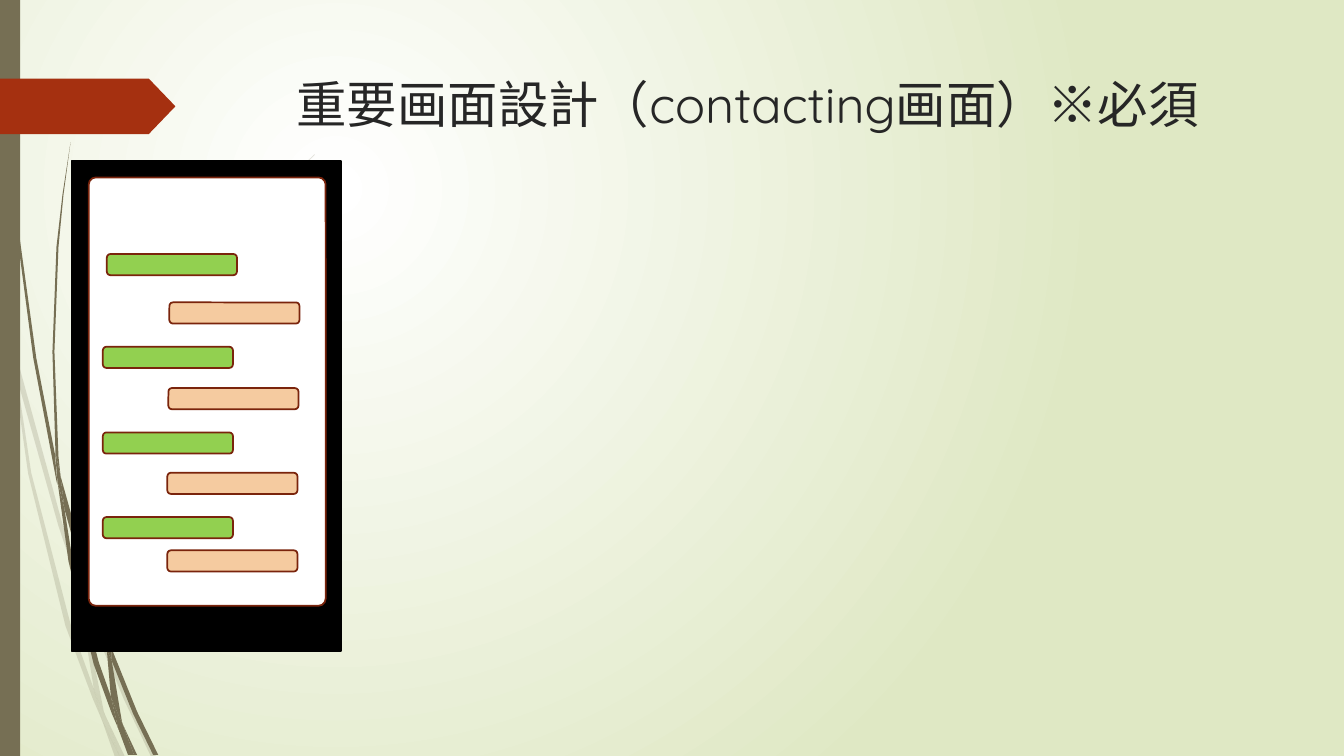
"""Build the slide that sketches the contacting screen on a phone."""
from dataclasses import dataclass
from typing import Optional

from lxml.etree import SubElement
from pptx import Presentation
from pptx.dml.color import RGBColor
from pptx.enum.shapes import MSO_SHAPE
from pptx.enum.text import MSO_ANCHOR, MSO_AUTO_SIZE, PP_ALIGN
from pptx.oxml.ns import qn
from pptx.shapes.autoshape import Shape
from pptx.slide import Slide
from pptx.util import Pt

PX = 9144
SLIDE_WIDTH, SLIDE_HEIGHT = 1333, 750

WHITE = RGBColor(0xFF, 0xFF, 0xFF)
BLACK = RGBColor(0x00, 0x00, 0x00)
PALE_GREEN = RGBColor(0xDF, 0xE8, 0xC4)
OLIVE = RGBColor(0x76, 0x6F, 0x54)
RUST = RGBColor(0xA5, 0x30, 0x10)
DARK_RUST = RGBColor(0x7A, 0x24, 0x0C)
INK = RGBColor(0x26, 0x26, 0x26)
GREEN = RGBColor(0x92, 0xD0, 0x50)
PEACH = RGBColor(0xF5, 0xCB, 0xA0)

Outline = list[tuple[int, int]]


@dataclass(frozen=True)
class Box:
    """A preset shape with its place in px and its colours."""
    left: int
    top: int
    width: int
    height: int
    fill: RGBColor
    line: Optional[RGBColor] = None
    preset: MSO_SHAPE = MSO_SHAPE.RECTANGLE
    adjustment: Optional[float] = None


FAINT_GRASS: list[Outline] = [
    [(11, 350), (9, 322), (0, 282), (0, 299), (10, 344)],
    [(58, 522), (84, 599), (85, 586), (62, 520), (14, 345), (17, 376)],
    [(92, 607), (88, 596), (88, 610), (123, 694), (150, 751), (155, 751), (127, 692)],
    [(119, 751), (124, 751), (105, 711)],
    [(93, 683), (70, 619), (31, 469), (17, 376), (11, 350), (28, 470), (65, 621),
     (92, 693), (101, 714), (99, 707)],
    [(84, 599), (87, 646), (93, 683), (96, 692), (105, 711), (103, 706), (91, 646),
     (88, 610), (88, 608)],
    [(88, 584), (110, 462), (160, 349), (229, 245), (268, 198), (290, 175), (312, 154),
     (312, 153), (289, 175), (268, 197), (228, 244), (158, 348), (107, 461), (85, 584),
     (85, 586), (88, 596)],
    [(101, 714), (114, 751), (119, 751)],
    [(96, 692), (93, 683), (99, 707), (101, 714), (119, 751), (105, 711)],
]
DARK_GRASS: list[Outline] = [
    [(7, 110), (17, 233), (33, 355), (56, 477), (57, 481), (55, 457), (55, 453),
     (36, 355), (19, 232), (8, 109), (5, 48), (4, 0), (3, 0), (4, 48)],
    [(88, 592), (106, 645), (106, 633), (106, 631), (93, 590), (60, 472), (64, 505)],
    [(113, 649), (110, 641), (111, 656), (132, 708), (152, 749), (157, 749), (136, 706)],
    [(110, 691), (98, 657), (72, 556), (64, 505), (57, 477), (68, 557), (93, 659),
     (111, 708), (117, 722), (116, 717)],
    [(60, 472), (58, 453), (54, 349), (58, 245), (63, 193), (70, 141), (62, 193),
     (56, 245), (52, 349), (55, 449)],
    [(133, 749), (136, 749), (122, 719)],
    [(57, 477), (64, 505), (60, 472), (55, 449), (55, 453)],
    [(117, 722), (127, 749), (131, 749)],
    [(106, 645), (110, 691), (116, 706), (122, 719), (121, 716), (111, 656), (109, 651)],
    [(106, 645), (109, 651), (111, 656), (110, 641), (106, 631), (106, 633)],
    [(116, 706), (110, 691), (116, 717), (117, 722), (130, 749), (133, 749), (122, 719)],
]
SIDE_DECORATION = [
    Box(0, 0, 20, SLIDE_HEIGHT, OLIVE),
    Box(0, 78, 174, 55, RUST, preset=MSO_SHAPE.PENTAGON, adjustment=0.48),
]
PHONE = [
    Box(71, 160, 267, 486, BLACK, BLACK),
    Box(88, 176, 235, 425, WHITE, DARK_RUST, MSO_SHAPE.ROUNDED_RECTANGLE, 0.03),
]
RECEIVED_MESSAGES = [(106, 252), (102, 344), (102, 429), (102, 513)]
SENT_MESSAGES = [(168, 300), (167, 385), (166, 469), (166, 546)]


def message(left: int, top: int, fill: RGBColor) -> Box:
    """Describe one chat bubble."""
    return Box(left, top, 129, 21, fill, DARK_RUST, MSO_SHAPE.ROUNDED_RECTANGLE)


def paint(shape: Shape, fill: RGBColor, line: Optional[RGBColor] = None) -> None:
    """Give a shape its fill and outline, without a shadow."""
    shape.shadow.inherit = False
    shape.fill.solid()
    shape.fill.fore_color.rgb = fill
    if line is None:
        shape.line.fill.background()
    else:
        shape.line.color.rgb = line
        shape.line.width = Pt(1.25)


def draw_box(slide: Slide, box: Box) -> None:
    """Draw a preset shape."""
    bounds = (side * PX for side in (box.left, box.top, box.width, box.height))
    shape = slide.shapes.add_shape(box.preset, *bounds)
    if box.adjustment is not None:
        shape.adjustments[0] = box.adjustment
    paint(shape, box.fill, box.line)


def draw_blade(slide: Slide, outline: Outline, opacity: int = 100) -> None:
    """Draw one blade of grass, with its opacity in percent."""
    builder = slide.shapes.build_freeform(*outline[0], scale=PX)
    builder.add_line_segments(outline[1:], close=True)
    blade = builder.convert_to_shape()
    paint(blade, OLIVE)
    if opacity < 100:
        colour = blade.element.spPr.find(f"{qn('a:solidFill')}/{qn('a:srgbClr')}")
        SubElement(colour, qn("a:alpha"), val=str(opacity * 1000))


def paint_background(slide: Slide) -> None:
    """Fill the background with a circular gradient."""
    fill = slide.background.fill
    fill.gradient()
    for stop, colour in zip(fill.gradient_stops, (WHITE, PALE_GREEN)):
        stop.color.rgb = colour
    gradient = slide.element.find(f".//{qn('a:gradFill')}")
    gradient.remove(gradient.find(qn("a:lin")))
    circle = SubElement(gradient, qn("a:path"), path="circle")
    SubElement(circle, qn("a:fillToRect"), l="50000", t="50000", r="100000", b="100000")


def write(shape: Shape, text: str, *, size: int, font: str, colour: RGBColor) -> None:
    """Write left-aligned text from the top of a shape."""
    frame = shape.text_frame
    frame.word_wrap = True
    frame.auto_size = MSO_AUTO_SIZE.NONE
    frame.vertical_anchor = MSO_ANCHOR.TOP
    paragraph = frame.paragraphs[0]
    paragraph.alignment = PP_ALIGN.LEFT
    run = paragraph.add_run()
    run.text = text
    run.font.size = Pt(size)
    run.font.name = font
    run.font.color.rgb = colour


def main() -> None:
    """Build and save the slide."""
    presentation = Presentation()
    presentation.slide_width = SLIDE_WIDTH * PX
    presentation.slide_height = SLIDE_HEIGHT * PX
    slide = presentation.slides.add_slide(presentation.slide_layouts[5])
    paint_background(slide)

    for outline in FAINT_GRASS:
        draw_blade(slide, outline, opacity=20)
    for outline in DARK_GRASS:
        draw_blade(slide, outline)
    for box in SIDE_DECORATION:
        draw_box(slide, box)

    heading = slide.shapes.title
    heading.left, heading.top = 284 * PX, 68 * PX
    heading.width, heading.height = 975 * PX, 140 * PX
    write(heading, "重要画面設計（contacting画面）※必須", size=36, font="Quicksand", colour=INK)
    slide.shapes.element.append(heading.element)

    received = [message(left, top, GREEN) for left, top in RECEIVED_MESSAGES]
    sent = [message(left, top, PEACH) for left, top in SENT_MESSAGES]
    for box in PHONE + received + sent:
        draw_box(slide, box)

    presentation.save("out.pptx")


if __name__ == "__main__":
    main()
